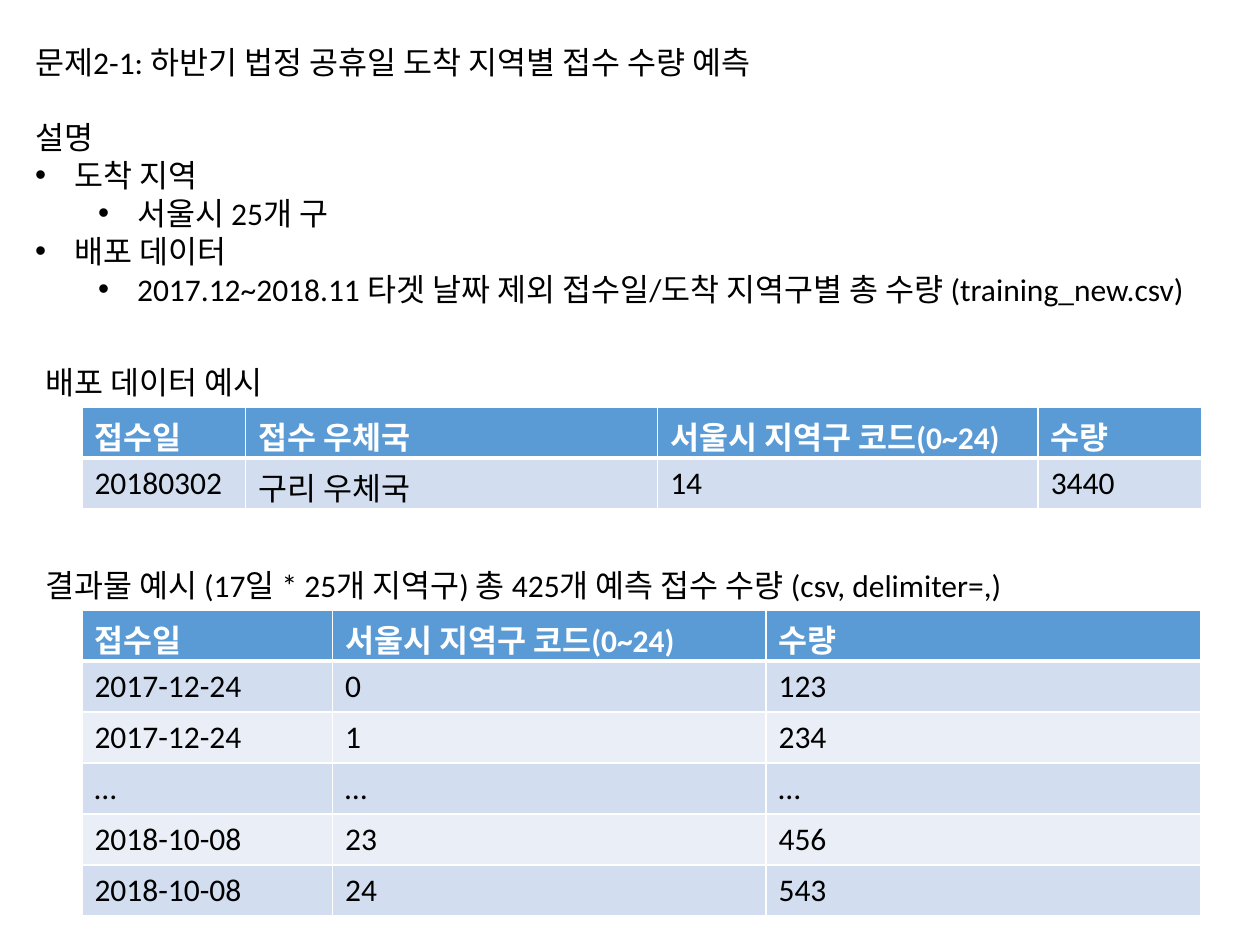
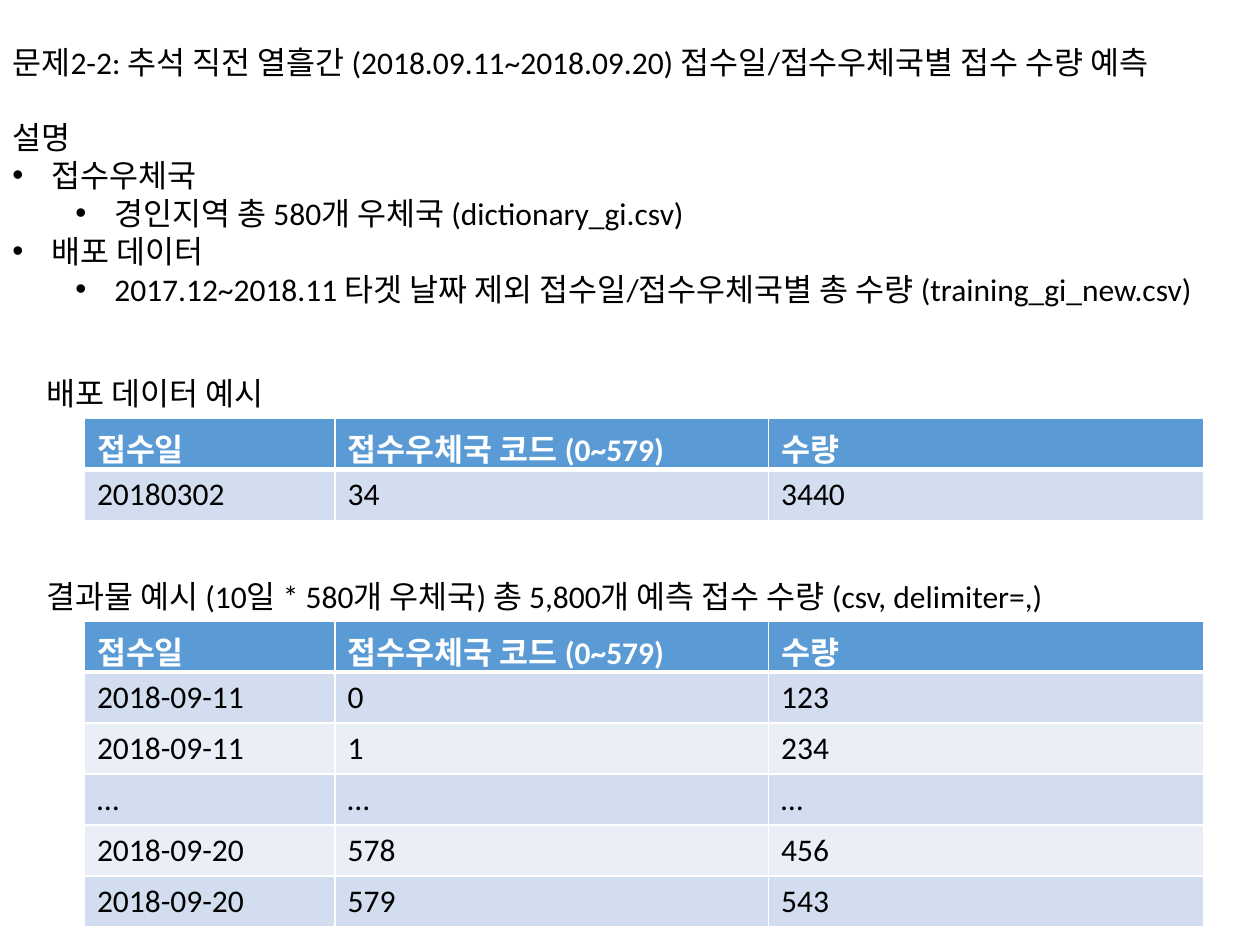
from dataclasses import dataclass

from lxml import etree
from pptx import Presentation
from pptx.dml.color import RGBColor
from pptx.enum import text
from pptx.oxml import ns
from pptx.util import Inches, Pt

# Shared style
FONT, SIZE = "Calibri", Pt(18)
BLACK, WHITE = "000000", "FFFFFF"
HEADER_FILL = "5B9BD5"
BAND_FILLS = ("D2DEEF", "EAEFF7")

# Shared layout, in inches
TITLE_TOP, BODY_TOP, BODY_HEIGHT = 0.29, 0.89, 1.62
CAPTION_WIDTH, CAPTION_HEIGHT = 9.5, 0.4
ROW_PAIR_HEIGHT = 0.81
TABLE_GAP = 1.61
BULLET_INDENT, LEVEL_STEP = 0.31, 0.5
THREE_COLUMNS = (1.99, 3.44, 3.45)
FOUR_COLUMNS = (1.3, 3.27, 3.02, 1.3)


@dataclass
class Example:
    caption: str
    widths: tuple[float, ...]
    rows: list[tuple[str, ...]]


@dataclass
class Problem:
    title: str
    text_left: float
    text_width: float
    bullets: list[tuple[int, str]]
    caption_left: float
    table_left: float
    table_top: float
    examples: list[Example]


def color(value: str) -> RGBColor:
    return RGBColor.from_string(value)


def format_text(frame, shade: str = BLACK, bold: bool = False) -> None:
    for para in frame.paragraphs:
        for span in para.runs:
            span.font.name, span.font.size = FONT, SIZE
            span.font.bold = bold
            span.font.color.rgb = color(shade)


def add_text_box(page, left: float, top: float, width: float, height: float, content: str):
    box = page.shapes.add_textbox(Inches(left), Inches(top), Inches(width), Inches(height))
    frame = box.text_frame
    frame.word_wrap = True
    frame.auto_size = text.MSO_AUTO_SIZE.SHAPE_TO_FIT_TEXT
    frame.text = content
    format_text(frame)
    return frame


def set_bullet(para, level: int) -> None:
    para.level = level
    props = para._p.get_or_add_pPr()
    props.set("marL", str(Inches(BULLET_INDENT + level * LEVEL_STEP)))
    props.set("indent", str(Inches(-BULLET_INDENT)))
    etree.SubElement(props, ns.qn("a:buFont"), typeface="Arial")
    etree.SubElement(props, ns.qn("a:buChar"), char="•")


def set_borders(cell, top: float, bottom: float) -> None:
    props = cell._tc.get_or_add_tcPr()
    for side, width in (("L", 1), ("R", 1), ("T", top), ("B", bottom)):
        line = etree.SubElement(props, ns.qn(f"a:ln{side}"), w=str(Pt(width)))
        fill = etree.SubElement(line, ns.qn("a:solidFill"))
        etree.SubElement(fill, ns.qn("a:srgbClr"), val=WHITE)


def add_title(page, problem: Problem) -> None:
    title = page.shapes.title
    title.left, title.top = Inches(problem.text_left), Inches(TITLE_TOP)
    title.width, title.height = Inches(problem.text_width), Inches(CAPTION_HEIGHT)
    frame = title.text_frame
    frame.text = problem.title
    frame.word_wrap = True
    frame.auto_size = text.MSO_AUTO_SIZE.NONE
    frame.vertical_anchor = text.MSO_ANCHOR.TOP
    frame.paragraphs[0].alignment = text.PP_ALIGN.LEFT
    format_text(frame)


def add_description(page, problem: Problem) -> None:
    lines = ["설명"] + [line for _, line in problem.bullets]
    frame = add_text_box(page, problem.text_left, BODY_TOP, problem.text_width,
                         BODY_HEIGHT, "\n".join(lines))
    for para, (level, _) in zip(frame.paragraphs[1:], problem.bullets):
        set_bullet(para, level)


def add_example(page, example: Example, caption_left: float, left: float, top: float) -> None:
    add_text_box(page, caption_left, top - CAPTION_HEIGHT, CAPTION_WIDTH,
                 CAPTION_HEIGHT, example.caption)
    count = len(example.rows)
    table = page.shapes.add_table(
        count, len(example.widths), Inches(left), Inches(top),
        Inches(sum(example.widths)), Inches(ROW_PAIR_HEIGHT * count / 2)).table
    for column, width in zip(table.columns, example.widths):
        column.width = Inches(width)
    for index, values in enumerate(example.rows):
        header = index == 0
        fill = HEADER_FILL if header else BAND_FILLS[(index - 1) % 2]
        for column_index, value in enumerate(values):
            cell = table.cell(index, column_index)
            cell.text = value
            format_text(cell.text_frame, WHITE if header else BLACK, header)
            set_borders(cell, top=3 if index == 1 else 1, bottom=3 if header else 1)
            cell.fill.solid()
            cell.fill.fore_color.rgb = color(fill)


def result_rows(code: str, first_day: str, last_day: str, last: int) -> list[tuple[str, ...]]:
    return [
        ("접수일", code, "수량"),
        (first_day, "0", "123"),
        (first_day, "1", "234"),
        ("…", "…", "…"),
        (last_day, str(last - 1), "456"),
        (last_day, str(last), "543"),
    ]


DISTRICT_CODE = "서울시 지역구 코드(0~24)"
OFFICE_CODE = "접수우체국 코드 (0~579)"
DATA_CAPTION = "배포 데이터 예시"

PROBLEMS = [
    Problem(
        "문제2-1: 하반기 법정 공휴일 도착 지역별 접수 수량 예측", 0.18, 9.74,
        [(0, "도착 지역"),
         (1, "서울시 25개 구"),
         (0, "배포 데이터"),
         (1, "2017.12~2018.11 타겟 날짜 제외 접수일/도착 지역구별 총 수량 (training_new.csv)")],
        0.26, 0.65, 3.23,
        [Example(DATA_CAPTION, FOUR_COLUMNS,
                 [("접수일", "접수 우체국", DISTRICT_CODE, "수량"),
                  ("20180302", "구리 우체국", "14", "3440")]),
         Example("결과물 예시 (17일 * 25개 지역구) 총 425개 예측 접수 수량 (csv, delimiter=,)",
                 THREE_COLUMNS,
                 result_rows(DISTRICT_CODE, "2017-12-24", "2018-10-08", 24))]),
    Problem(
        "문제2-2: 추석 직전 열흘간 (2018.09.11~2018.09.20) 접수일/접수우체국별 접수 수량 예측",
        0, 10.04,
        [(0, "접수우체국"),
         (1, "경인지역 총 580개 우체국 (dictionary_gi.csv)"),
         (0, "배포 데이터"),
         (1, "2017.12~2018.11 타겟 날짜 제외 접수일/접수우체국별 총 수량 (training_gi_new.csv)")],
        0.27, 0.67, 3.32,
        [Example(DATA_CAPTION, THREE_COLUMNS,
                 [("접수일", OFFICE_CODE, "수량"),
                  ("20180302", "34", "3440")]),
         Example("결과물 예시 (10일 * 580개 우체국) 총 5,800개 예측 접수 수량 (csv, delimiter=,)",
                 THREE_COLUMNS,
                 result_rows(OFFICE_CODE, "2018-09-11", "2018-09-20", 579))]),
]


def main() -> None:
    deck = Presentation()
    deck.slide_width, deck.slide_height = Inches(10), Inches(7.5)
    title_only = deck.slide_layouts[5]
    for problem in PROBLEMS:
        page = deck.slides.add_slide(title_only)
        add_title(page, problem)
        add_description(page, problem)
        for index, example in enumerate(problem.examples):
            add_example(page, example, problem.caption_left, problem.table_left,
                        problem.table_top + index * TABLE_GAP)
    deck.save("out.pptx")


if __name__ == "__main__":
    main()
